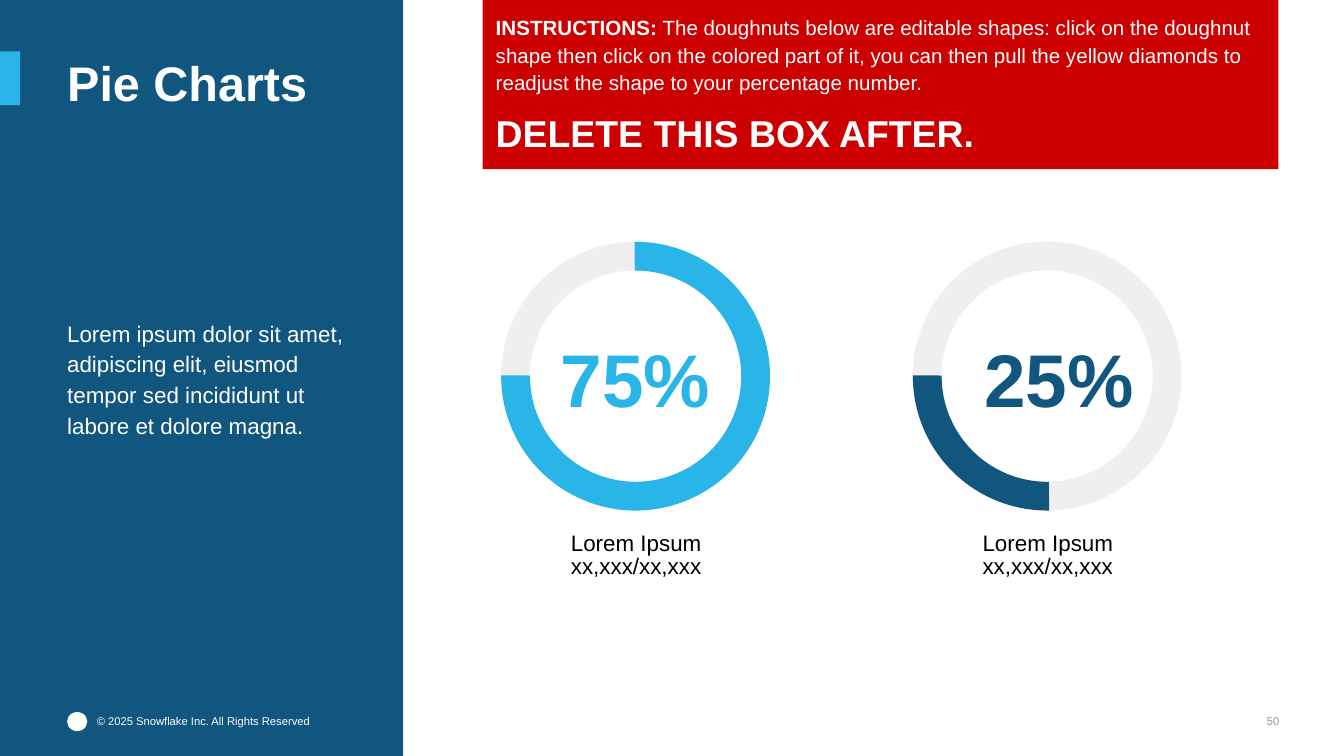
from pptx import Presentation
from pptx.dml.color import RGBColor
from pptx.enum.shapes import MSO_SHAPE
from pptx.enum.text import MSO_ANCHOR, MSO_AUTO_SIZE, PP_ALIGN
from pptx.util import Cm, Pt

RECTANGLE, OVAL, BLOCK_ARC = MSO_SHAPE.RECTANGLE, MSO_SHAPE.OVAL, MSO_SHAPE.BLOCK_ARC
TOP, MIDDLE, BOTTOM = MSO_ANCHOR.TOP, MSO_ANCHOR.MIDDLE, MSO_ANCHOR.BOTTOM
LEFT, CENTER, RIGHT = PP_ALIGN.LEFT, PP_ALIGN.CENTER, PP_ALIGN.RIGHT
NO_AUTOFIT = MSO_AUTO_SIZE.NONE
TITLE_ONLY = 5

NAVY, SKY, RED = "11567F", "29B5E8", "CC0000"
WHITE, BLACK, PALE, GREY = "FFFFFF", "000000", "EFEFEF", "929292"


def color(hex_string):
    return RGBColor.from_string(hex_string)


class SlideBuilder:
    font_name = "Arial"
    inset = 0.25
    ring_size = 5.08
    ring_thickness = 0.107

    def __init__(self, slide):
        self.slide = slide

    def style_runs(self, paragraph, size, hex_color, bold=False):
        for run in paragraph.runs:
            run.font.name = self.font_name
            run.font.size = Pt(size)
            run.font.bold = bold
            run.font.color.rgb = color(hex_color)

    def prepare_frame(self, frame, anchor=TOP, inset=0):
        frame.word_wrap = True
        frame.auto_size = NO_AUTOFIT
        frame.vertical_anchor = anchor
        frame.margin_left = frame.margin_right = Cm(inset)
        frame.margin_top = frame.margin_bottom = Cm(inset)

    def title(self, text, box, size, hex_color):
        title = self.slide.shapes.title
        title.left, title.top, title.width, title.height = map(Cm, box)
        self.prepare_frame(title.text_frame, inset=self.inset)
        title.text_frame.text = text
        paragraph = title.text_frame.paragraphs[0]
        paragraph.alignment = LEFT
        self.style_runs(paragraph, size, hex_color, bold=True)

    def text(self, text, box, size, hex_color, bold=False, align=LEFT,
             anchor=TOP, inset=0, line_spacing=1.0):
        frame = self.slide.shapes.add_textbox(*map(Cm, box)).text_frame
        self.prepare_frame(frame, anchor, inset)
        frame.text = text
        paragraph = frame.paragraphs[0]
        paragraph.alignment = align
        paragraph.line_spacing = line_spacing
        self.style_runs(paragraph, size, hex_color, bold)

    def shape(self, kind, box, fill, parent=None):
        shapes = (parent or self.slide).shapes
        shape = shapes.add_shape(kind, *map(Cm, box))
        shape.shadow.inherit = False
        shape.fill.solid()
        shape.fill.fore_color.rgb = color(fill)
        shape.line.fill.background()
        return shape

    def arc(self, group, left, top, fill, start, end):
        """Draw a ring segment clockwise between two angles in degrees."""
        size = self.ring_size
        arc = self.shape(BLOCK_ARC, (left, top, size, size), fill, group)
        # Angles are stored in 1/60000 degree, adjustments in 1/100000.
        arc.adjustments[0] = start * 0.6
        arc.adjustments[1] = end * 0.6
        arc.adjustments[2] = self.ring_thickness
        return arc

    def doughnut(self, left, top, start, hex_color, percent, percent_left, caption):
        group = self.slide.shapes.add_group_shape()
        self.arc(group, left, top, PALE, 89.78, 89.41)
        value = self.arc(group, left, top, hex_color, start, 30.35)
        value.rotation = 150
        self.text(percent, (percent_left, top + 1.81, 4.52, 1.52), 40, hex_color,
                  bold=True, align=CENTER, anchor=MIDDLE)
        self.text(caption, (left + 0.89, top + 5.26, 3.33, 1.52), 12, BLACK,
                  align=CENTER, inset=self.inset, line_spacing=0.85)

    def instructions(self, box, heading, details, reminder):
        frame = self.shape(RECTANGLE, box, RED).text_frame
        self.prepare_frame(frame, MIDDLE, self.inset)
        guidance = frame.paragraphs[0]
        guidance.text = heading
        guidance.add_run().text = details
        self.style_runs(guidance, 11, WHITE)
        guidance.runs[0].font.bold = True
        closing = frame.add_paragraph()
        closing.text = reminder
        closing.space_before = Pt(6)
        self.style_runs(closing, 20, WHITE, bold=True)
        for paragraph in frame.paragraphs:
            paragraph.alignment = LEFT
            paragraph.line_spacing = 1.1


def main():
    presentation = Presentation()
    presentation.slide_width = Cm(25.4)
    presentation.slide_height = Cm(14.29)
    slide = presentation.slides.add_slide(presentation.slide_layouts[TITLE_ONLY])
    builder = SlideBuilder(slide)

    builder.shape(RECTANGLE, (0, 0, 7.62, 14.29), NAVY)
    builder.shape(OVAL, (1.27, 13.46, 0.38, 0.36), WHITE)
    builder.shape(RECTANGLE, (0, 0.97, 0.38, 1.02), SKY)
    builder.text("© 2025 Snowflake Inc. All Rights Reserved",
                 (1.83, 13.51, 4.67, 0.25), 6, WHITE)
    builder.text("50", (22.86, 13.51, 1.32, 0.25), 6, GREY, align=RIGHT, anchor=BOTTOM)

    # The placeholder precedes the panel, so it is moved in front of it.
    slide.shapes._spTree.append(slide.shapes.title._element)
    builder.title("Pie Charts", (1.02, 0.76, 6.6, 1.91), 26, WHITE)
    builder.text("Lorem ipsum dolor sit amet, adipiscing elit, eiusmod tempor sed "
                 "incididunt ut labore et dolore magna.",
                 (1.02, 3.58, 6.15, 7.11), 12, WHITE,
                 anchor=MIDDLE, inset=builder.inset, line_spacing=1.15)

    caption = "Lorem Ipsum\vxx,xxx/xx,xxx"
    for left, start, hex_color, percent, percent_left in (
        (9.47, 119.58, SKY, "75%", 9.75),
        (17.25, 299.18, NAVY, "25%", 17.75),
    ):
        builder.doughnut(left, 4.57, start, hex_color, percent, percent_left, caption)

    builder.instructions(
        (9.12, -0.03, 15.04, 3.23),
        "INSTRUCTIONS:",
        " The doughnuts below are editable shapes: click on the doughnut shape then "
        "click on the colored part of it, you can then pull the yellow diamonds to "
        "readjust the shape to your percentage number.",
        "DELETE THIS BOX AFTER.",
    )
    presentation.save("out.pptx")


if __name__ == "__main__":
    main()
